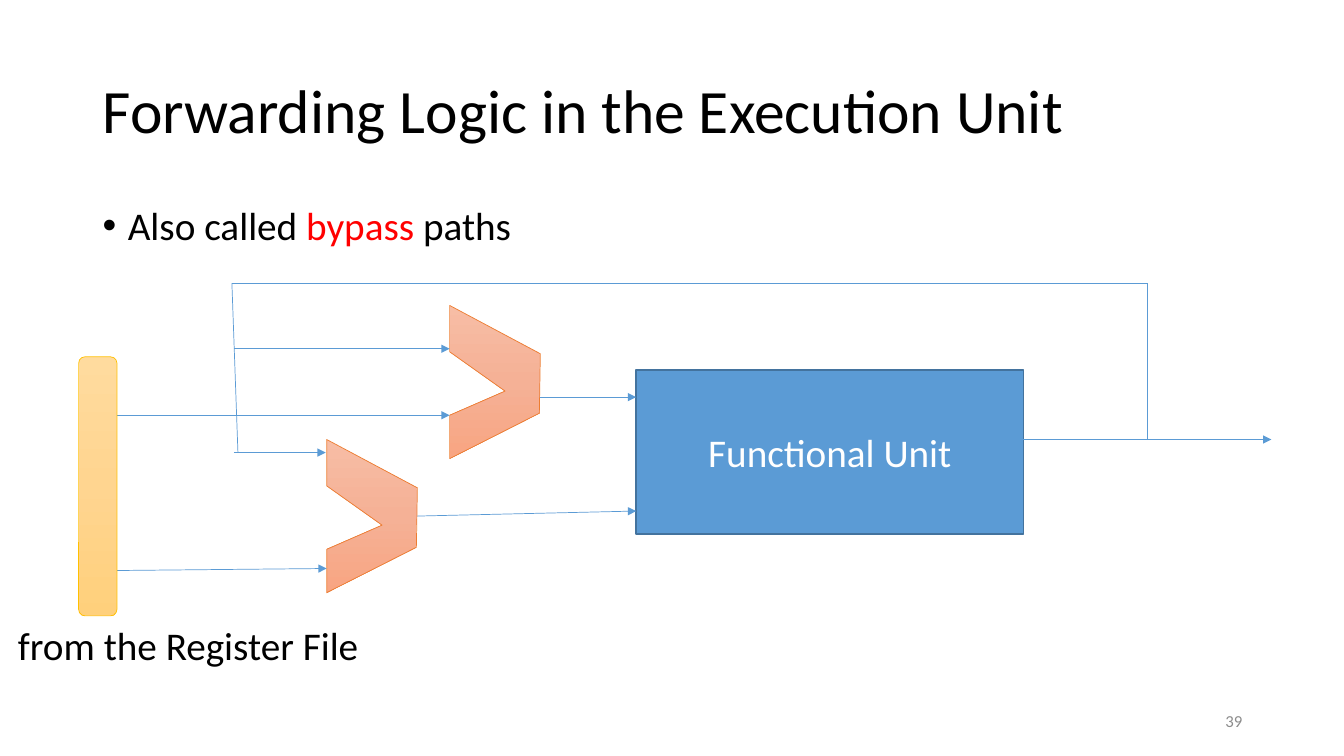
from copy import deepcopy
from lxml import etree
from pptx import Presentation
from pptx import util as u
from pptx.dml.color import RGBColor
from pptx.enum import shapes, text
from pptx.oxml.ns import qn

BLACK, WIRE = "000000", "5B9BD5"
TOP, MIDDLE = text.MSO_ANCHOR.TOP, text.MSO_ANCHOR.MIDDLE
LEFT, CENTER, RIGHT = text.PP_ALIGN.LEFT, text.PP_ALIGN.CENTER, text.PP_ALIGN.RIGHT

LABELS = [
    dict(box=(0.92, 0.4, 11.5, 1.45), runs=[("Forwarding Logic in the Execution Unit", BLACK)],
         size=44, anchor=MIDDLE, paragraph=dict(line_spacing=0.9)),
    dict(box=(0.92, 2, 11.5, 0.81), size=28, bullet="•",
         runs=[("Also called ", BLACK), ("bypass", "FF0000"), (" paths", BLACK)],
         paragraph=dict(line_spacing=0.9, space_before=u.Pt(10))),
    dict(box=(0.08, 6.11, 3.61, 0.57), runs=[("from the Register File", BLACK)],
         size=28, wrap=False),
    dict(box=(9.42, 6.95, 3, 0.4), runs=[("39", "8C8C8C")], size=12,
         anchor=MIDDLE, paragraph=dict(alignment=RIGHT)),
]
FUNCTIONAL_UNIT = dict(box=(6.31, 3.67, 3.84, 1.63), fill=WIRE, edge="43739E")
UNIT_LABEL = dict(runs=[("Functional Unit", "FFFFFF")], size=28, anchor=MIDDLE,
                  paragraph=dict(alignment=CENTER))
REGISTER_FILE = dict(box=(0.78, 3.54, 0.38, 2.57), edge="FFC000",
                     stops=("FFDB9E", "FFD590", "FFD07C"))
MUX = dict(corners=[(0, 0), (0, 0.46), (0.55, 0.85), (0, 1.09),
                    (0, 1.52), (0.89, 1.07), (0.9, 0.48)],
           places=[(4.46, 3.03), (3.24, 4.36)], edge="ED7D31",
           stops=("F7BDA5", "F5B196", "F8A582"))
ARROWS = [
    (5.36, 3.94, 6.31, 3.94),
    (4.14, 5.12, 6.31, 5.07),
    (10.15, 4.36, 12.61, 4.36),
    (2.32, 3.46, 4.46, 3.46),
    (2.32, 4.49, 3.23, 4.49),
    (1.16, 4.12, 4.46, 4.12),
    (1.16, 5.66, 3.24, 5.64),
]
BYPASS = [(11.38, 4.36), (11.38, 2.81), (2.3, 2.81), (2.36, 4.49)]


def inches(values):
    return [u.Inches(value) for value in values]


def paint(color_format, hex_color):
    color_format.rgb = RGBColor.from_string(hex_color)


def apply(target, values):
    for name, value in values.items():
        setattr(target, name, value)


def outline(part, color, width):
    paint(part.line.color, color) if part.line.fill.type else part.line.fill.solid()
    paint(part.line.color, color)
    part.line.width = u.Pt(width)


def shade(part, colors):
    part.fill.gradient()
    part.fill.gradient_angle = 270
    stop_list = next(part.element.iter(qn("a:gsLst")))
    stop_list.insert(1, deepcopy(stop_list[0]))
    for stop, color, position in zip(part.fill.gradient_stops, colors, (0, 0.5, 1)):
        paint(stop.color, color)
        stop.position = position


def write(part, runs, size, anchor=TOP, wrap=True, paragraph=None, bullet=None):
    frame = part.text_frame
    apply(frame, dict(word_wrap=wrap, vertical_anchor=anchor))
    if not wrap:
        frame.auto_size = text.MSO_AUTO_SIZE.SHAPE_TO_FIT_TEXT
    line = frame.paragraphs[0]
    apply(line, dict(alignment=LEFT) | (paragraph or {}))
    if bullet:
        props = line._p.get_or_add_pPr()
        props.set("marL", str(u.Inches(0.25)))
        props.set("indent", str(u.Inches(-0.25)))
        etree.SubElement(props, qn("a:buFont")).set("typeface", "Arial")
        etree.SubElement(props, qn("a:buChar")).set("char", bullet)
    for words, color in runs:
        run = line.add_run()
        run.text = words
        apply(run.font, dict(name="Calibri", size=u.Pt(size)))
        paint(run.font.color, color)


def wire(slide, ends, arrow=False):
    link = slide.shapes.add_connector(shapes.MSO_CONNECTOR.STRAIGHT, *inches(ends))
    outline(link, WIRE, 0.5)
    if arrow:
        etree.SubElement(link.line._get_or_add_ln(), qn("a:tailEnd")).set("type", "triangle")
    etree.SubElement(link._element.spPr, qn("a:effectLst"))


def main():
    deck = Presentation()
    apply(deck, dict(slide_width=u.Inches(13.33), slide_height=u.Inches(7.5)))
    slide = deck.slides.add_slide(deck.slide_layouts[6])

    unit = slide.shapes.add_shape(shapes.MSO_SHAPE.RECTANGLE, *inches(FUNCTIONAL_UNIT["box"]))
    unit.shadow.inherit = False
    unit.fill.solid()
    paint(unit.fill.fore_color, FUNCTIONAL_UNIT["fill"])
    outline(unit, FUNCTIONAL_UNIT["edge"], 1)
    write(unit, **UNIT_LABEL)

    for left, top in MUX["places"]:
        points = [inches((left + x, top + y)) for x, y in MUX["corners"]]
        builder = slide.shapes.build_freeform(*points[0])
        builder.add_line_segments(points[1:], close=True)
        mux = builder.convert_to_shape()
        mux.shadow.inherit = False
        shade(mux, MUX["stops"])
        outline(mux, MUX["edge"], 0.5)

    for ends in ARROWS:
        wire(slide, ends, arrow=True)
    for start, end in zip(BYPASS, BYPASS[1:]):
        wire(slide, start + end)

    registers = slide.shapes.add_shape(shapes.MSO_SHAPE.ROUNDED_RECTANGLE,
                                       *inches(REGISTER_FILE["box"]))
    registers.shadow.inherit = False
    shade(registers, REGISTER_FILE["stops"])
    outline(registers, REGISTER_FILE["edge"], 0.5)

    for label in LABELS:
        box = slide.shapes.add_textbox(*inches(label["box"]))
        write(box, **{key: value for key, value in label.items() if key != "box"})

    deck.save("out.pptx")


if __name__ == "__main__":
    main()
